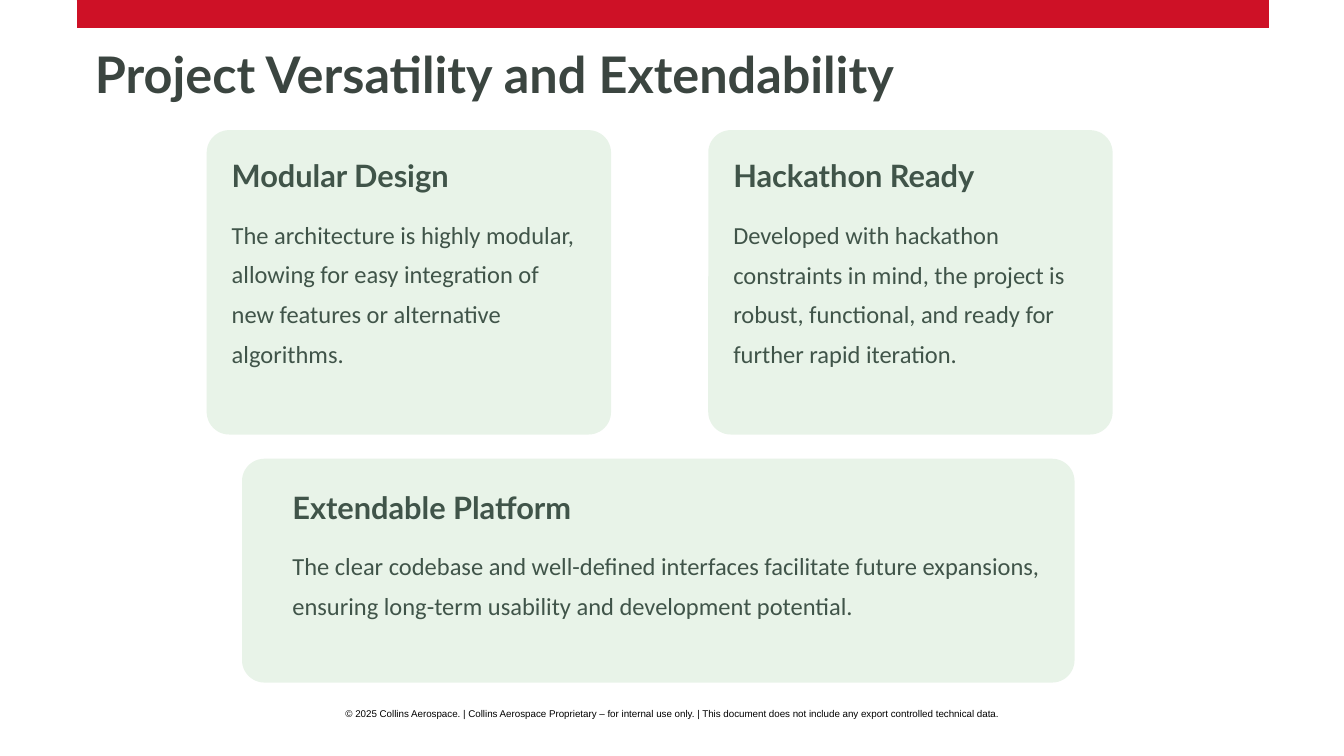
import pptx
import pptx.util
import pptx.dml.color
import pptx.enum.shapes
import pptx.enum.text
import pptx.oxml.ns
from lxml import etree

Cm, Pt = pptx.util.Cm, pptx.util.Pt
RGBColor = pptx.dml.color.RGBColor
PP_ALIGN = pptx.enum.text.PP_ALIGN

RED = RGBColor(0xCE, 0x11, 0x26)
DARK = RGBColor(0x3B, 0x45, 0x40)
GREEN = RGBColor(0x40, 0x54, 0x49)
PALE = RGBColor(0xE8, 0xF3, 0xE8)
BLACK = RGBColor(0, 0, 0)


class Deck:
    """Holds the presentation, its style and the current slide."""
    heading_font, body_font, footer_font = "Lato", "Calibri", "Arial"
    line_height = 1.005  # one body line of 28.5 pt, in cm

    def __init__(self, width, height):
        self.prs = pptx.Presentation()
        self.prs.slide_width, self.prs.slide_height = Cm(width), Cm(height)
        self.s = self.prs.slides.add_slide(self.prs.slide_layouts[5])

    def fill_text(self, sp, text, font, size, color, bold=False,
                  spacing=None, align=PP_ALIGN.LEFT, wrap=True):
        tf = sp.text_frame
        tf.text = text
        tf.auto_size = pptx.enum.text.MSO_AUTO_SIZE.NONE
        tf.word_wrap = wrap
        tf.vertical_anchor = pptx.enum.text.MSO_ANCHOR.TOP
        tf.margin_left = tf.margin_top = tf.margin_right = tf.margin_bottom = 0
        p = tf.paragraphs[0]
        p.alignment = align
        p.space_before = Pt(0)
        if spacing:
            p.line_spacing = Pt(spacing)
        p.font.name, p.font.size, p.font.bold = font, Pt(size), bold
        p.font.color.rgb = color

    def title(self, text, x, y, w, h):
        sp = self.s.shapes.title
        sp.left, sp.top, sp.width, sp.height = Cm(x), Cm(y), Cm(w), Cm(h)
        self.fill_text(sp, text, self.heading_font, 36, DARK, True, 55.5)

    def text(self, text, x, y, w, h, *style, **options):
        sp = self.s.shapes.add_textbox(Cm(x), Cm(y), Cm(w), Cm(h))
        self.fill_text(sp, text, *style, **options)

    def band(self, x1, x2, y, width):
        line = self.s.shapes.add_connector(
            pptx.enum.shapes.MSO_CONNECTOR.STRAIGHT, Cm(x1), Cm(y), Cm(x2), Cm(y))
        line.line.color.rgb = RED
        line.line.width = Pt(width)
        etree.SubElement(line._element.spPr, pptx.oxml.ns.qn("a:effectLst"))

    def card(self, heading, body, x, y, w, h, corner, inset, top, body_w, lines):
        sp = self.s.shapes.add_shape(
            pptx.enum.shapes.MSO_SHAPE.ROUNDED_RECTANGLE, Cm(x), Cm(y), Cm(w), Cm(h))
        sp.adjustments[0] = corner
        sp.shadow.inherit = False
        sp.fill.solid()
        sp.fill.fore_color.rgb = PALE
        sp.line.fill.background()
        self.text(heading, x + inset, y + top, 7.9, 0.99, self.heading_font, 22,
                  GREEN, bold=True, spacing=27.5, wrap=False)
        self.text(body, x + inset, y + top + 1.36, body_w, lines * self.line_height,
                  self.body_font, 17.5, GREEN, spacing=28.5)


def main():
    deck = Deck(33.87, 19.05)

    # Top band, title and footer
    deck.band(1.93, 31.98, 0.36, 20)
    deck.title("Project Versatility and Extendability", 2.39, 0.64, 25.88, 3.94)
    deck.text("© 2025 Collins Aerospace. | Collins Aerospace Proprietary – for internal "
              "use only. | This document does not include any export controlled "
              "technical data.", 0, 17.83, 33.87, 0.28,
              deck.footer_font, 7, BLACK, align=PP_ALIGN.CENTER)

    # Upper pair of cards
    pair = [
        ("Modular Design", "The architecture is highly modular, allowing for easy "
         "integration of new features or alternative algorithms.", 4),
        ("Hackathon Ready", "Developed with hackathon constraints in mind, the project "
         "is robust, functional, and ready for further rapid iteration.", 5),
    ]
    for i, (heading, body, lines) in enumerate(pair):
        deck.card(heading, body, 5.21 + i * 12.64, 3.28, 10.19, 7.67,
                  0.074, 0.63, 0.63, 8.92, lines)

    # Lower wide card
    deck.card("Extendable Platform", "The clear codebase and well-defined interfaces "
              "facilitate future expansions, ensuring long-term usability and "
              "development potential.", 6.1, 11.56, 20.98, 5.64,
              0.1, 1.27, 0.71, 19.74, 3)

    deck.prs.save("out.pptx")


if __name__ == "__main__":
    main()
